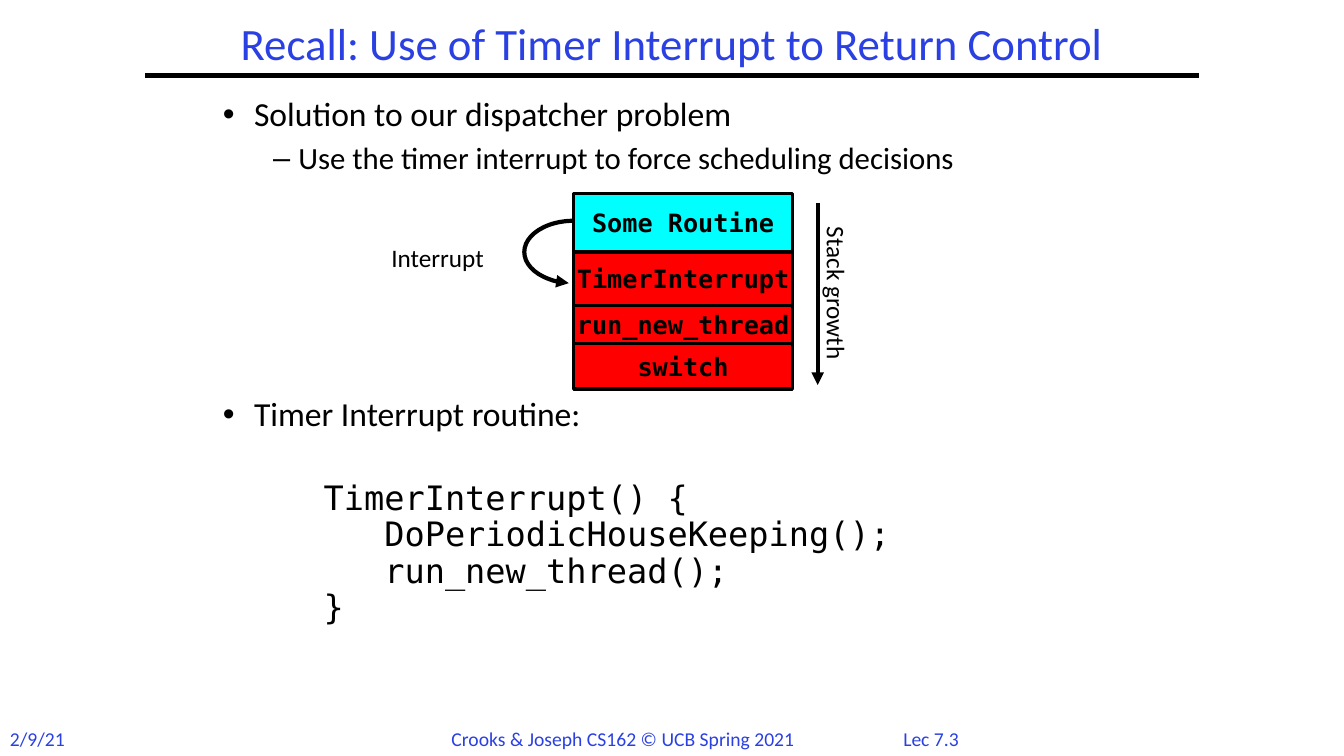
from lxml import etree
from pptx import Presentation
from pptx.dml.color import RGBColor
from pptx.enum.shapes import MSO_CONNECTOR, MSO_SHAPE
from pptx.enum.text import MSO_ANCHOR, MSO_AUTO_SIZE, PP_ALIGN
from pptx.oxml.ns import qn
from pptx.util import Inches, Pt

# Content
SANS, MONO = "Calibri", "DejaVu Sans Mono"
BLUE, BLACK, CYAN, RED = "2A40E2", "000000", "00FFFF", "FF0000"
HEADING = "Recall: Use of Timer Interrupt to Return Control"

# text, font, size, left margin, first-line indent, bullet, space before (pt)
OUTLINE = [
    ("Solution to our dispatcher problem", SANS, 24, 0.31, -0.31, "•", 0),
    ("Use the timer interrupt to force scheduling decisions",
     SANS, 22, 0.75, -0.25, "–", 6.6),
    ("Timer Interrupt routine:", SANS, 24, 0.31, -0.31, "•", 158),
    ("TimerInterrupt() {", MONO, 24, 1, 0, None, 34),
    ("   DoPeriodicHouseKeeping();", MONO, 24, 1, 0, None, 0),
    ("   run_new_thread();", MONO, 24, 1, 0, None, 0),
    ("}", MONO, 24, 1, 0, None, 0),
]

# name, height, fill
STACK = [
    ("Some Routine", 0.58, CYAN),
    ("TimerInterrupt", 0.53, RED),
    ("run_new_thread", 0.38, RED),
    ("switch", 0.45, RED),
]
STACK_LEFT, STACK_TOP, STACK_WIDTH = 5.69, 1.92, 2.17

# text, box, size, colour, alignment, rotation
LABELS = [
    ("Interrupt", (3.77, 2.35, 1.14, 0.4), 18, BLACK, PP_ALIGN.CENTER, 0),
    ("Stack growth", (7.47, 2.71, 1.66, 0.4), 18, BLACK, PP_ALIGN.CENTER, 90),
    ("2/9/21", (0, 7.16, 0.8, 0.34), 14, BLUE, PP_ALIGN.LEFT, 0),
    ("Crooks & Joseph CS162 © UCB Spring 2021", (4.38, 7.16, 3.76, 0.34),
     14, BLUE, PP_ALIGN.LEFT, 0),
    ("Lec 7.3", (8.75, 7.16, 0.97, 0.33), 14, BLUE, PP_ALIGN.CENTER, 0),
]


def color(hex_code):
    return RGBColor.from_string(hex_code)


def place(shape, left, top, width, height):
    shape.left, shape.top = Inches(left), Inches(top)
    shape.width, shape.height = Inches(width), Inches(height)


def write(paragraph, text, font, size, hex_code, bold=False):
    run = paragraph.add_run()
    run.text = text
    run.font.name, run.font.size, run.font.bold = font, Pt(size), bold
    run.font.color.rgb = color(hex_code)


def stroke(shape, width, arrow_end=None):
    shape.line.color.rgb = color(BLACK)
    shape.line.width = Pt(width)
    if arrow_end:
        line = shape.line._get_or_add_ln()
        etree.SubElement(line, qn(f"a:{arrow_end}"), type="triangle")


def add_line(slide, x1, y1, x2, y2, arrow_end=None):
    line = slide.shapes.add_connector(
        MSO_CONNECTOR.STRAIGHT, Inches(x1), Inches(y1), Inches(x2), Inches(y2))
    stroke(line, 3, arrow_end)
    etree.SubElement(line._element.spPr, qn("a:effectLst"))


def add_heading(slide):
    title = slide.shapes.title
    place(title, 1.83, 0.17, 9.67, 0.58)
    frame = title.text_frame
    frame.auto_size = MSO_AUTO_SIZE.NONE
    frame.vertical_anchor = MSO_ANCHOR.MIDDLE
    paragraph = frame.paragraphs[0]
    paragraph.alignment, paragraph.line_spacing = PP_ALIGN.CENTER, 0.9
    write(paragraph, HEADING, SANS, 32, BLUE)
    add_line(slide, 1.44, 0.75, 11.89, 0.75)


def add_outline(slide):
    body = slide.placeholders[1]
    place(body, 2.11, 0.92, 9, 6.31)
    frame = body.text_frame
    frame.auto_size = MSO_AUTO_SIZE.NONE
    for i, (text, font, size, margin, indent, bullet, before) in enumerate(OUTLINE):
        paragraph = frame.add_paragraph() if i else frame.paragraphs[0]
        paragraph.level = 1 if bullet == "–" else 0
        paragraph.line_spacing, paragraph.space_before = 0.9, Pt(before)
        props = paragraph._p.get_or_add_pPr()
        props.set("marL", str(Inches(margin)))
        props.set("indent", str(Inches(indent)))
        if bullet:
            etree.SubElement(props, qn("a:buChar"), char=bullet)
        else:
            etree.SubElement(props, qn("a:buNone"))
        write(paragraph, text, font, size, BLACK)


def add_stack(slide):
    top = STACK_TOP
    for name, height, fill in STACK:
        routine = slide.shapes.add_shape(
            MSO_SHAPE.RECTANGLE, Inches(STACK_LEFT), Inches(top),
            Inches(STACK_WIDTH), Inches(height))
        routine.shadow.inherit = False
        routine.fill.solid()
        routine.fill.fore_color.rgb = color(fill)
        stroke(routine, 2.25)
        frame = routine.text_frame
        frame.word_wrap = False
        frame.vertical_anchor = MSO_ANCHOR.MIDDLE
        frame.paragraphs[0].alignment = PP_ALIGN.CENTER
        write(frame.paragraphs[0], name, MONO, 18, BLACK, bold=True)
        top += height


def add_interrupt_arrow(slide):
    # Half ellipse centred on the border below the first routine
    radius_x, radius_y = 0.49, 0.31
    center_y = STACK_TOP + STACK[0][1]
    arc = slide.shapes.add_shape(
        MSO_SHAPE.ARC, Inches(STACK_LEFT - radius_x), Inches(center_y - radius_y),
        Inches(2 * radius_x), Inches(2 * radius_y))
    arc.shadow.inherit = False
    arc.fill.background()
    for i, degrees in enumerate((99, 270)):
        arc.adjustments[i] = degrees * 0.6  # 60000 angle units per degree
    stroke(arc, 3, "headEnd")


def add_labels(slide):
    for text, box, size, hex_code, align, rotation in LABELS:
        label = slide.shapes.add_textbox(*map(Inches, box))
        label.rotation = rotation
        label.text_frame.word_wrap = False
        paragraph = label.text_frame.paragraphs[0]
        paragraph.alignment = align
        write(paragraph, text, SANS, size, hex_code)


def main():
    deck = Presentation()
    deck.slide_width, deck.slide_height = Inches(13.33), Inches(7.5)
    slide = deck.slides.add_slide(deck.slide_layouts[1])
    add_heading(slide)
    add_outline(slide)
    add_stack(slide)
    add_interrupt_arrow(slide)
    add_labels(slide)
    add_line(slide, 8.11, 2.01, 8.11, 3.82, "tailEnd")  # stack growth
    deck.save("out.pptx")


if __name__ == "__main__":
    main()
